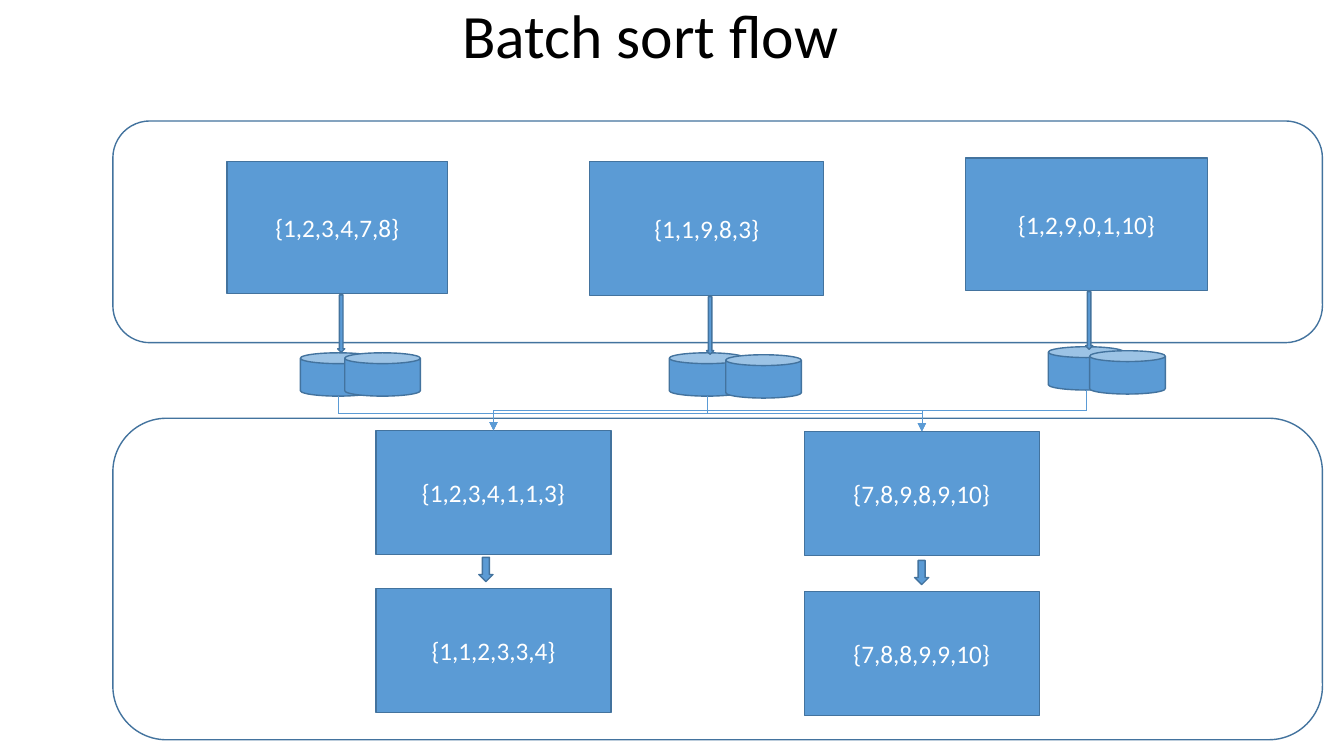
from dataclasses import dataclass

import pptx
import pptx.dml.color
import pptx.enum.shapes
import pptx.enum.text
import pptx.oxml
import pptx.oxml.ns
import pptx.util

BLUE = pptx.dml.color.RGBColor(0x5B, 0x9B, 0xD5)
DARK_BLUE = pptx.dml.color.RGBColor(0x43, 0x73, 0x9E)
WHITE = pptx.dml.color.RGBColor(0xFF, 0xFF, 0xFF)
BLACK = pptx.dml.color.RGBColor(0x00, 0x00, 0x00)
FONT = "Calibri"
Kind = pptx.enum.shapes.MSO_SHAPE
DRAWING_NS = pptx.oxml.ns.nsdecls("a")

deck = pptx.Presentation()
deck.slide_width = pptx.util.Inches(13.33)
deck.slide_height = pptx.util.Inches(7.5)
slide = deck.slides.add_slide(deck.slide_layouts[5])


@dataclass(frozen=True)
class Box:
    """Lengths are percentages of the slide's width and height."""
    left: float
    top: float
    width: float
    height: float

    @property
    def center(self) -> float:
        return self.left + self.width / 2

    @property
    def bottom(self) -> float:
        return self.top + self.height


@dataclass(frozen=True)
class Mapper:
    values: str
    box: Box
    back_can: Box
    front_can: Box


@dataclass(frozen=True)
class Reducer:
    fetched: str
    ordered: str
    fetched_box: Box
    ordered_box: Box
    arrow: Box


def across(share: float) -> int:
    return round(deck.slide_width * share / 100)


def down(share: float) -> int:
    return round(deck.slide_height * share / 100)


def can_box(left: float, top: float) -> Box:
    return Box(left, top, 5.63, 5.73)


def reducer_box(left: float, top: float) -> Box:
    return Box(left, top, 17.48, 16.4)


def style_text(frame: pptx.text.text.TextFrame, size: float,
               color: pptx.dml.color.RGBColor) -> None:
    paragraph = frame.paragraphs[0]
    paragraph.alignment = pptx.enum.text.PP_ALIGN.CENTER
    for run in paragraph.runs:
        run.font.name = FONT
        run.font.size = pptx.util.Pt(size)
        run.font.color.rgb = color


def draw(kind: Kind, box: Box, values: str = "", filled: bool = True) -> None:
    shape = slide.shapes.add_shape(kind, across(box.left), down(box.top),
                                   across(box.width), down(box.height))
    shape.shadow.inherit = False
    if filled:
        shape.fill.solid()
        shape.fill.fore_color.rgb = BLUE
    else:
        shape.fill.background()
    shape.line.color.rgb = DARK_BLUE
    shape.line.width = pptx.util.Pt(1)
    if values:
        shape.text_frame.text = values
        shape.text_frame.vertical_anchor = pptx.enum.text.MSO_ANCHOR.MIDDLE
        style_text(shape.text_frame, 18, WHITE)


def shuffle(can: Box, target: Box) -> None:
    start_x, start_y = across(can.center), down(can.bottom)
    end_x, end_y = across(target.center), down(target.top)
    run, drop = abs(end_x - start_x), end_y - start_y
    left = (start_x + end_x - drop) // 2
    top = (start_y + end_y - run) // 2
    link = slide.shapes.add_connector(
        pptx.enum.shapes.MSO_CONNECTOR.ELBOW, left, top, left + drop, top + run)
    link.line.color.rgb = BLUE
    link.line.width = pptx.util.Pt(0.5)
    properties = link._element.spPr
    turn = properties.find(pptx.oxml.ns.qn("a:xfrm"))
    if end_x > start_x:
        turn.set("rot", str(270 * 60000))
        turn.set("flipH", "1")
    else:
        turn.set("rot", str(90 * 60000))
    properties.find(pptx.oxml.ns.qn("a:ln")).append(
        pptx.oxml.parse_xml(f'<a:tailEnd {DRAWING_NS} type="triangle"/>'))
    properties.append(pptx.oxml.parse_xml(f"<a:effectLst {DRAWING_NS}/>"))


mappers = [
    Mapper("{1,2,3,4,7,8}", Box(16.88, 21.33, 16.43, 17.47),
           can_box(22.35, 46.67), can_box(25.65, 46.67)),
    Mapper("{1,1,9,8,3}", Box(43.88, 21.33, 17.4, 17.73),
           can_box(49.8, 46.67), can_box(54, 46.93)),
    Mapper("{1,2,9,0,1,10}", Box(71.85, 20.93, 18, 17.47),
           can_box(78, 45.87), can_box(81.08, 46.4)),
]
reducers = [
    Reducer("{1,2,3,4,1,1,3}", "{1,1,2,3,3,4}", reducer_box(27.98, 56.93),
            reducer_box(27.98, 77.87), Box(35.63, 73.73, 1.05, 3.2)),
    Reducer("{7,8,9,8,9,10}", "{7,8,8,9,9,10}", reducer_box(59.85, 57.07),
            reducer_box(59.85, 78.27), Box(68.05, 74.13, 1.05, 3.2)),
]
stages = [Box(8.4, 16, 90, 29.33), Box(8.4, 55.33, 90, 42.53)]

title = slide.shapes.title
title.left, title.top = 0, 0
title.width, title.height = across(96.8), down(15.73)
title.text_frame.text = "Batch sort flow"
title.text_frame.vertical_anchor = pptx.enum.text.MSO_ANCHOR.TOP
title.text_frame.paragraphs[0].line_spacing = 0.9
style_text(title.text_frame, 44, BLACK)

for mapper in mappers:
    draw(Kind.RECTANGLE, mapper.box, mapper.values)
for reducer in reducers:
    draw(Kind.RECTANGLE, reducer.fetched_box, reducer.fetched)
    draw(Kind.RECTANGLE, reducer.ordered_box, reducer.ordered)
for stage in stages:
    draw(Kind.ROUNDED_RECTANGLE, stage, filled=False)
for mapper in mappers:
    draw(Kind.CAN, mapper.back_can)
for reducer in reducers:
    for mapper in mappers:
        shuffle(mapper.back_can, reducer.fetched_box)
for reducer in reducers:
    draw(Kind.DOWN_ARROW, reducer.arrow)
for mapper in mappers:
    draw(Kind.DOWN_ARROW,
         Box(mapper.back_can.center - 0.04, mapper.box.bottom + 0.2, 0.53, 7.6))
for mapper in mappers:
    draw(Kind.CAN, mapper.front_can)

deck.save("out.pptx")
